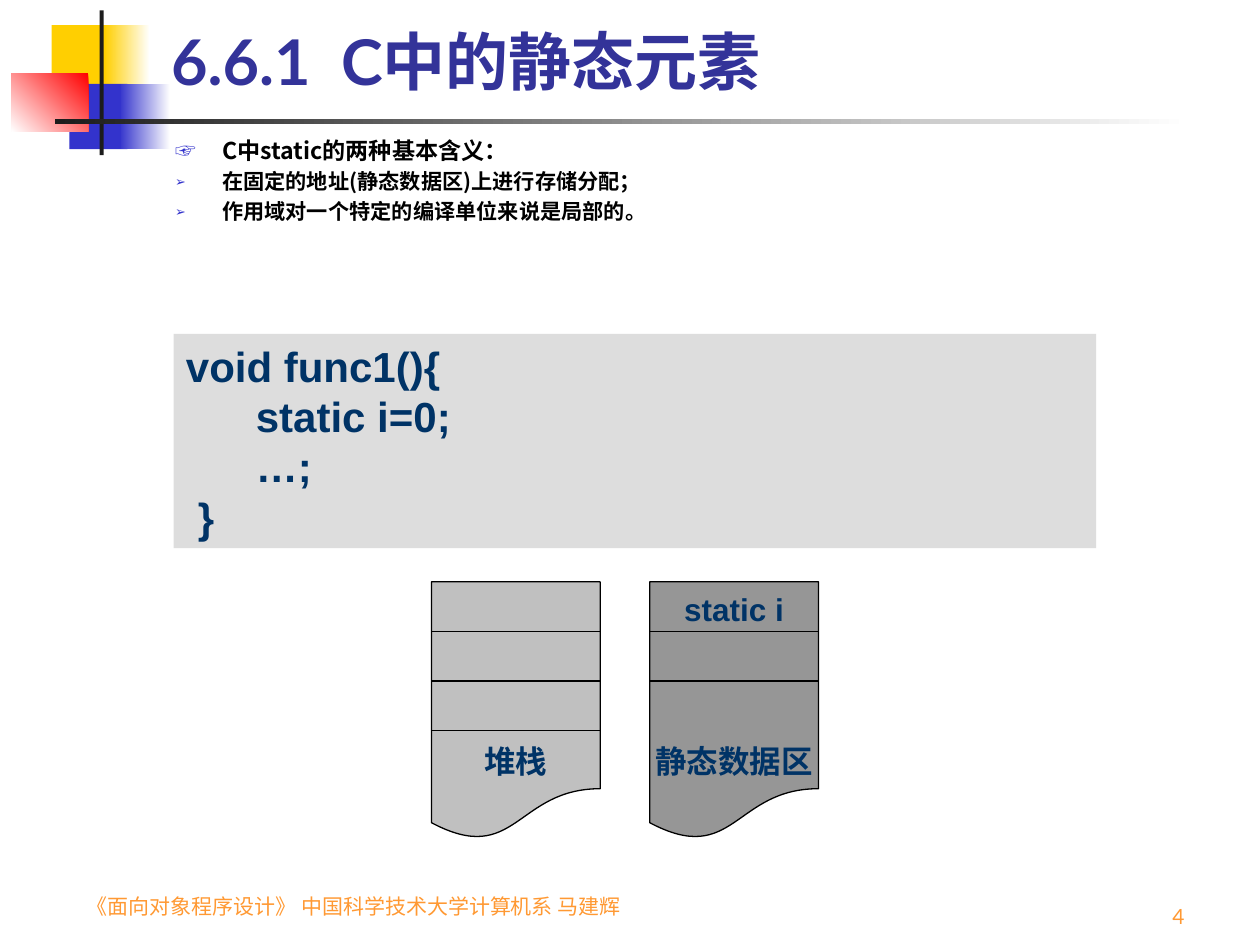
from dataclasses import dataclass

from lxml.etree import SubElement
from pptx import Presentation
from pptx.dml.color import RGBColor
from pptx.enum.shapes import MSO_CONNECTOR, MSO_SHAPE
from pptx.enum.text import MSO_ANCHOR, PP_ALIGN
from pptx.oxml.ns import qn
from pptx.util import Cm, Pt


@dataclass(frozen=True)
class Theme:
    """Colours, fonts and type sizes of the slide."""
    heading: str = "333399"
    ink: str = "000000"
    label: str = "003366"
    footer: str = "FF9933"
    white: str = "FFFFFF"
    yellow: str = "FFCF01"
    blue: str = "3333CC"
    red: str = "FF0000"
    bar: str = "1C1C1C"
    code_panel: str = "DDDDDD"
    stack: str = "C0C0C0"
    static_area: str = "969696"
    display_font: str = "Lato"
    body_font: str = "Noto Sans CJK SC"
    code_font: str = "Arial"
    title_size: float = 36
    lead_size: float = 13.2
    point_size: float = 12.1
    code_size: float = 24
    label_size: float = 18
    footer_size: float = 12
    line_width: float = 0.75


THEME = Theme()

TITLE = "6.6.1  C中的静态元素"
FOOTER = "《面向对象程序设计》 中国科学技术大学计算机系 马建辉"
PAGE_NUMBER = "4"
MEANINGS = [
    ("☞", 90, THEME.lead_size, 6, "C中static的两种基本含义："),
    ("➢", 60, THEME.point_size, 5.5, "在固定的地址(静态数据区)上进行存储分配；"),
    ("➢", 60, THEME.point_size, 5.5, "作用域对一个特定的编译单位来说是局部的。"),
]
CODE = [("void func1(){", 0), ("static i=0;", 1.41), ("…;", 1.41), ("}", 0.24)]
MEMORY_AREAS = [
    (13.1, THEME.static_area, 2, ["static i", "静态数据区"]),
    (8.7, THEME.stack, 3, ["堆栈"]),
]
ORNAMENTS = [
    ((1.04, 0.51, 1.22, 1.32), [THEME.yellow], 0),
    ((2.11, 0.51, 0.91, 1.32), [THEME.white, THEME.yellow], 180),
    ((1.4, 1.69, 1.17, 1.32), [THEME.blue], 0),
    ((2.41, 1.69, 1.02, 1.32), [THEME.white, THEME.blue], 180),
    ((0.23, 1.48, 1.55, 1.17), [THEME.red, THEME.white], 225),
    ((2.01, 0.21, 0.08, 2.92), [THEME.bar], 0),
    ((1.11, 2.4, 22.86, 0.1), [THEME.white, THEME.bar], 180),
]
AREA_TOP, AREA_WIDTH, AREA_HEIGHT, ROW_HEIGHT = 11.73, 3.4, 5.2, 1
LABEL_GAP, LABEL_INSET = 65, 0.18
BULLET_INDENT = 0.95


def rgb(colour):
    return RGBColor.from_string(colour)


def style(paragraph, font, size, colour, bold=True, align=PP_ALIGN.LEFT):
    paragraph.alignment = align
    for run in paragraph.runs:
        run.font.name, run.font.size, run.font.bold = font, Pt(size), bold
        run.font.color.rgb = rgb(colour)
        SubElement(run.font._element, qn("a:ea"), typeface=THEME.body_font)


def indent(paragraph, left, first=0):
    properties = paragraph._p.get_or_add_pPr()
    properties.set("marL", str(Cm(left)))
    properties.set("indent", str(Cm(first)))
    return properties


def add_bullet(paragraph, mark, percent):
    properties = indent(paragraph, BULLET_INDENT, -BULLET_INDENT)
    colour = SubElement(properties, qn("a:buClr"))
    SubElement(colour, qn("a:srgbClr"), val=THEME.blue)
    SubElement(properties, qn("a:buSzPct"), val=str(percent * 1000))
    SubElement(properties, qn("a:buFont"), typeface=THEME.body_font)
    SubElement(properties, qn("a:buChar"), char=mark)


def add_block(slide, box, colours, angle=0, outline=None, kind=MSO_SHAPE.RECTANGLE):
    block = slide.shapes.add_shape(kind, *map(Cm, box))
    block.shadow.inherit = False
    if len(colours) == 1:
        block.fill.solid()
        block.fill.fore_color.rgb = rgb(colours[0])
    else:
        block.fill.gradient()
        block.fill.gradient_angle = angle
        for stop, colour in zip(block.fill.gradient_stops, colours):
            stop.color.rgb = rgb(colour)
    if outline:
        block.line.color.rgb = rgb(outline)
        block.line.width = Pt(THEME.line_width)
    else:
        block.line.fill.background()
    return block


def add_text(slide, box, lines, anchor=MSO_ANCHOR.BOTTOM):
    frame = slide.shapes.add_textbox(*map(Cm, box)).text_frame
    frame.word_wrap = True
    frame.vertical_anchor = anchor
    frame.text = "\n".join(lines)
    return frame.paragraphs


def add_divider(slide, left, top):
    divider = slide.shapes.add_connector(
        MSO_CONNECTOR.STRAIGHT, Cm(left), Cm(top), Cm(left + AREA_WIDTH), Cm(top))
    divider.line.color.rgb = rgb(THEME.ink)
    divider.line.width = Pt(THEME.line_width)
    SubElement(divider._element.spPr, qn("a:effectLst"))


def add_meanings(slide):
    lines = [meaning[-1] for meaning in MEANINGS]
    points = add_text(slide, (3.28, 2.73, 21.59, 3.61), lines, MSO_ANCHOR.TOP)
    for point, (mark, percent, size, before, _) in zip(points, MEANINGS):
        style(point, THEME.body_font, size, THEME.ink)
        point.line_spacing = 0.8
        point.space_before = Pt(before)
        add_bullet(point, mark, percent)


def add_code(slide):
    frame = add_block(slide, (3.5, 6.73, 18.6, 4.32), [THEME.code_panel]).text_frame
    frame.vertical_anchor = MSO_ANCHOR.TOP
    frame.text = "\n".join(line for line, _ in CODE)
    for statement, (_, left) in zip(frame.paragraphs, CODE):
        style(statement, THEME.code_font, THEME.code_size, THEME.label)
        indent(statement, left)


def add_memory_area(slide, left, colour, dividers, labels):
    box = (left, AREA_TOP, AREA_WIDTH, AREA_HEIGHT)
    area = add_block(slide, box, [colour], outline=THEME.ink,
                     kind=MSO_SHAPE.FLOWCHART_DOCUMENT)
    frame = area.text_frame
    frame.word_wrap = False
    frame.vertical_anchor = MSO_ANCHOR.BOTTOM
    frame.margin_bottom = Cm(LABEL_INSET)
    frame.text = "\n".join(labels)
    for label in frame.paragraphs:
        style(label, THEME.code_font, THEME.label_size, THEME.label,
              align=PP_ALIGN.CENTER)
    for label in frame.paragraphs[1:]:
        label.space_before = Pt(LABEL_GAP)
    for row in range(1, dividers + 1):
        add_divider(slide, left, AREA_TOP + row * ROW_HEIGHT)


def main():
    """Build the slide on static elements in C."""
    deck = Presentation()
    deck.slide_width, deck.slide_height = Cm(25.4), Cm(19.05)
    slide = deck.slides.add_slide(deck.slide_layouts[6])
    for box, colours, angle in ORNAMENTS:
        add_block(slide, box, colours, angle)
    footer = add_text(slide, (1.5, 17.53, 11.4, 1.12), [FOOTER])[0]
    style(footer, THEME.display_font, THEME.footer_size, THEME.footer, False)
    page_number = add_text(slide, (18.85, 17.58, 5.28, 1.27), [PAGE_NUMBER])[0]
    style(page_number, THEME.display_font, THEME.footer_size, THEME.footer, False,
          PP_ALIGN.RIGHT)
    title = add_text(slide, (3.2, 0.58, 21.64, 1.52), [TITLE])[0]
    style(title, THEME.display_font, THEME.title_size, THEME.heading)
    add_meanings(slide)
    for memory_area in MEMORY_AREAS:
        add_memory_area(slide, *memory_area)
    add_code(slide)
    deck.save("out.pptx")


if __name__ == "__main__":
    main()
